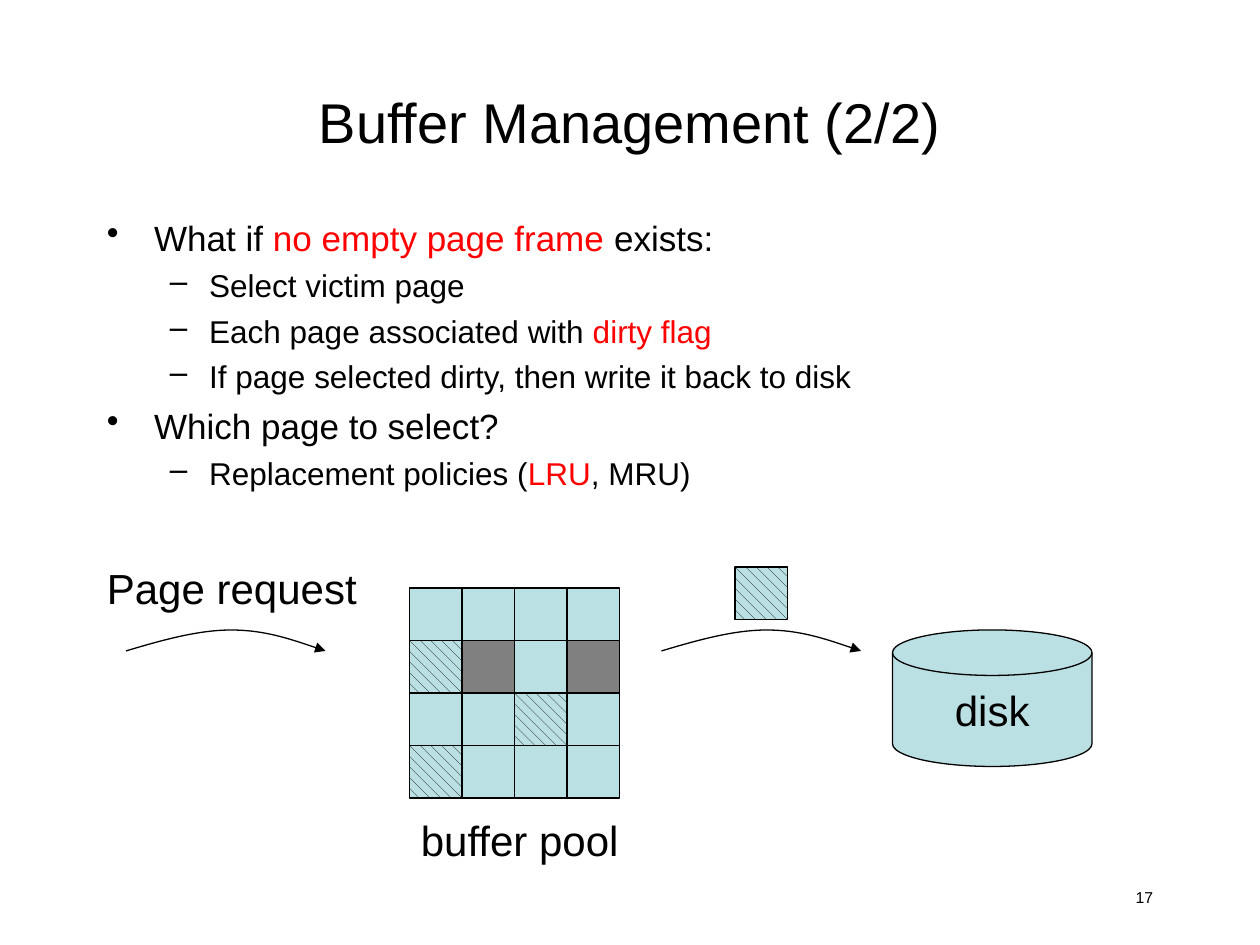
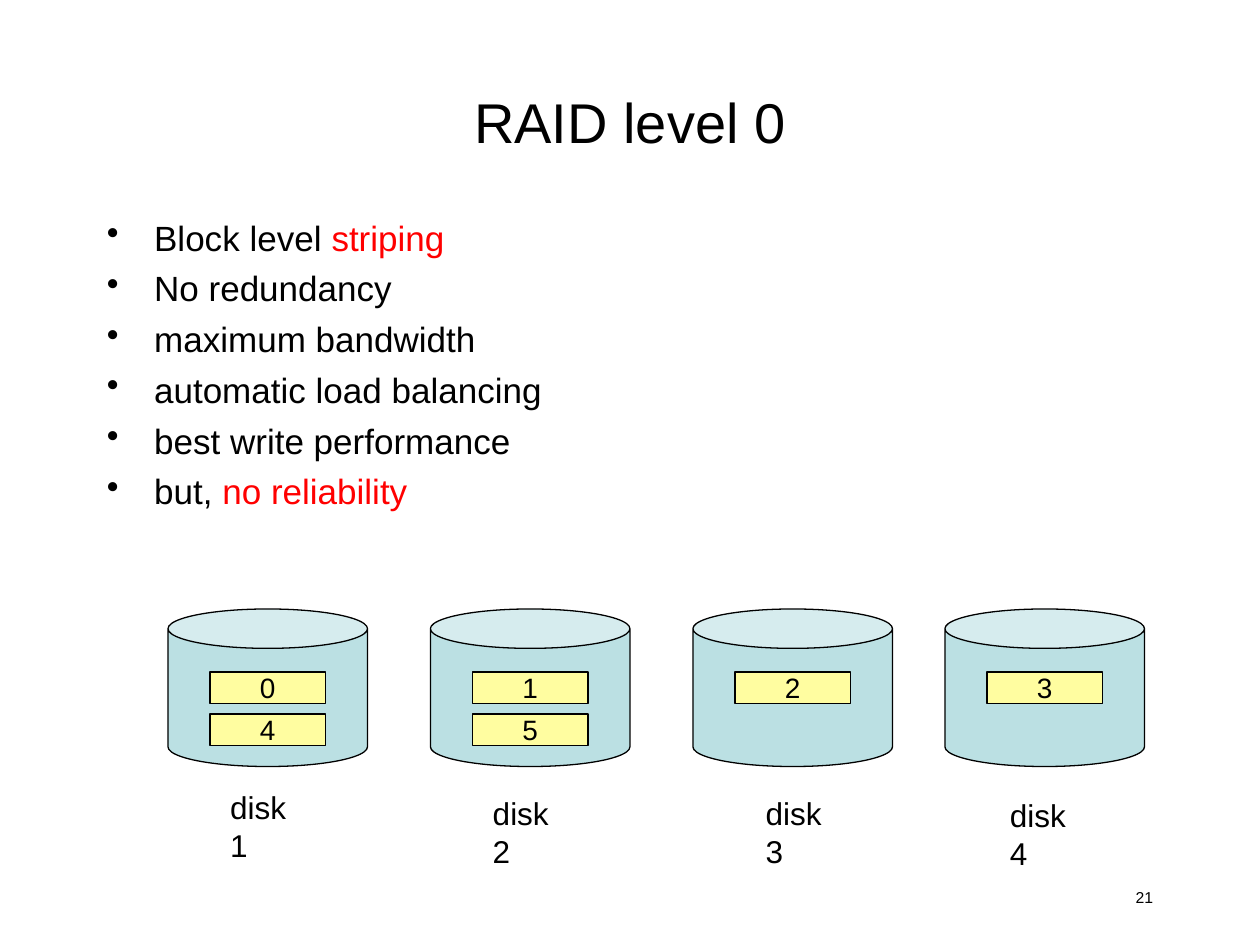
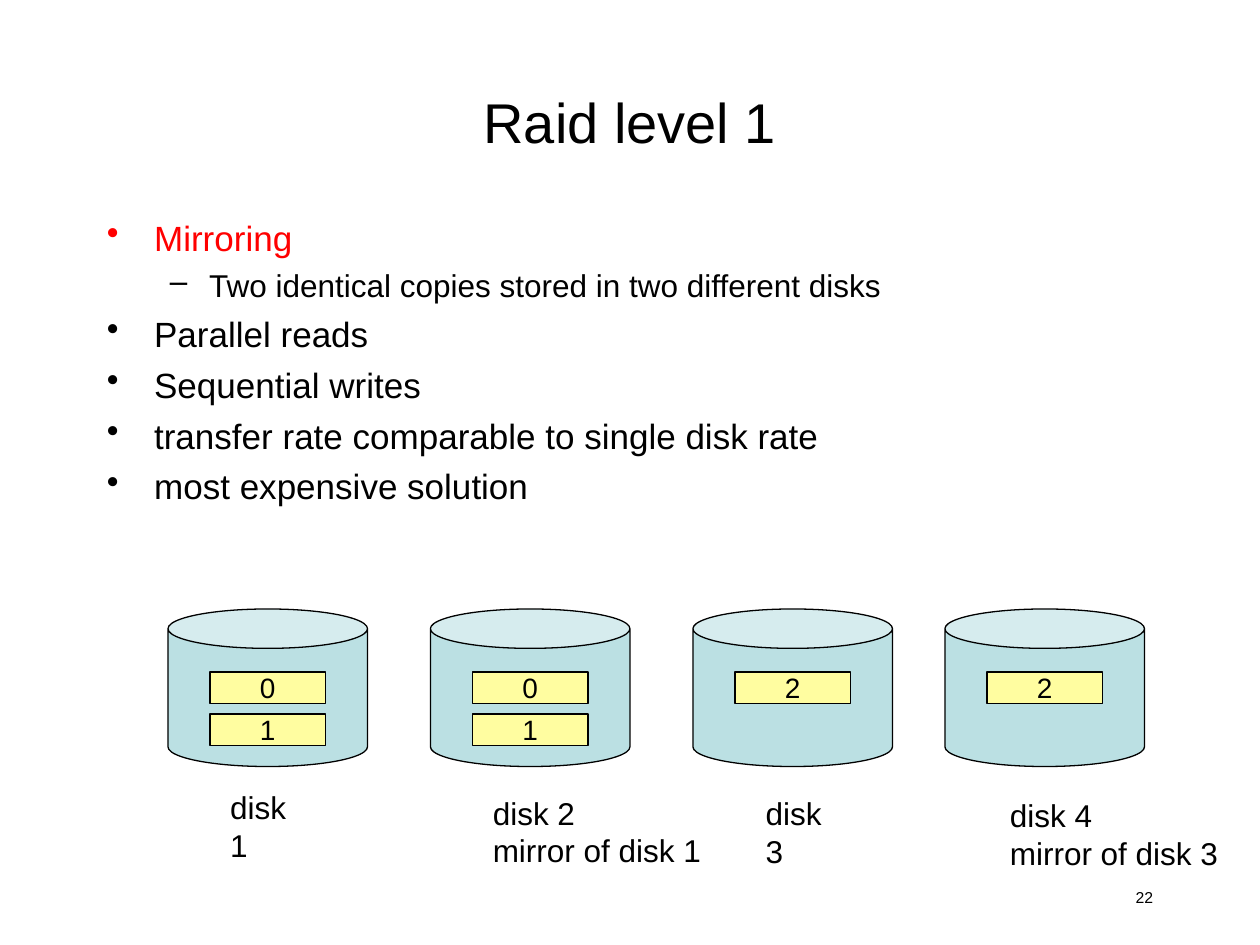
"""Build three slides on buffer management and RAID levels."""
from pptx import Presentation
from pptx.dml.color import RGBColor
from pptx.enum.dml import MSO_PATTERN
from pptx.enum.shapes import MSO_SHAPE
from pptx.enum.text import MSO_ANCHOR, PP_ALIGN
from pptx.oxml.ns import qn
from pptx.util import Pt

RECTANGLE = MSO_SHAPE.RECTANGLE
CAN = MSO_SHAPE.CAN
MAGNETIC_DISK = MSO_SHAPE.FLOWCHART_MAGNETIC_DISK
HATCH = MSO_PATTERN.DASHED_DOWNWARD_DIAGONAL
LEFT, CENTER, RIGHT = PP_ALIGN.LEFT, PP_ALIGN.CENTER, PP_ALIGN.RIGHT
MIDDLE = MSO_ANCHOR.MIDDLE

color = RGBColor.from_string
BLACK, RED, AQUA, YELLOW, GRAY = "000000", "FF0000", "BBE0E3", "FFFDA0", "808080"

BULLETS = [("•", 20, 27, -27), ("–", 18, 58.5, -22.5)]
CELL = 30
POOL_LEFT, POOL_TOP = 234, 336
POOL_ROWS = ["....", "/#.#", "../.", "/..."]
ARROW_CURVE = [(20, 6), (41, 0), (60, 0), (79, 0), (96.5, 6), (114, 12)]
DISK_LEFTS = [96, 246, 396, 540]
LABEL_PLACES = [(124.5, 447), (274.5, 450), (430.5, 450), (570, 451.5)]

SLIDES = [
    ("Buffer Management (2/2)", "17", [
        (0, "What if *no empty page frame *exists:"),
        (1, "Select victim page"),
        (1, "Each page associated with *dirty flag"),
        (1, "If page selected dirty, then write it back to disk"),
        (0, "Which page to select?"),
        (1, "Replacement policies (*LRU*, MRU)"),
    ]),
    ("RAID level 0", "21", [
        (0, "Block level *striping"),
        (0, "No redundancy"),
        (0, "maximum bandwidth"),
        (0, "automatic load balancing"),
        (0, "best write performance"),
        (0, "but, *no reliability"),
    ]),
    ("Raid level 1", "22", [
        (0, "*Mirroring"),
        (1, "Two identical copies stored in two different disks"),
        (0, "Parallel reads"),
        (0, "Sequential writes"),
        (0, "transfer rate comparable to single disk rate"),
        (0, "most expensive solution"),
    ]),
]
RAID_DISKS = [
    [("04", ["disk 1"]), ("15", ["disk 2"]), ("2", ["disk 3"]), ("3", ["disk 4"])],
    [("01", ["disk 1"]), ("01", ["disk 2", "mirror of disk 1"]),
     ("2", ["disk 3"]), ("2", ["disk 4", "mirror of disk 3"])],
]


def write(box, lines, size, align=LEFT, wrap=False):
    """Fill a box with lines, where asterisks switch red on and off."""
    frame = box.text_frame
    frame.word_wrap = wrap
    for number, line in enumerate(lines):
        para = frame.add_paragraph() if number else frame.paragraphs[0]
        para.alignment = align
        for part, words in enumerate(line.split("*")):
            if words:
                span = para.add_run()
                span.text = words
                span.font.name = "Arial"
                span.font.size = Pt(size)
                span.font.color.rgb = color(RED if part % 2 else BLACK)
    return frame


def draw(page, kind, left, top, width, height, fill, text="", size=16):
    """Add an outlined shape; fill "/" stands for hatching."""
    shape = page.shapes.add_shape(kind, Pt(left), Pt(top), Pt(width), Pt(height))
    shape.shadow.inherit = False
    if fill == "/":
        shape.fill.patterned()
        shape.fill.pattern = HATCH
        shape.fill.fore_color.rgb = color(BLACK)
        shape.fill.back_color.rgb = color(AQUA)
    else:
        shape.fill.solid()
        shape.fill.fore_color.rgb = color(fill)
    shape.line.color.rgb = color(BLACK)
    shape.line.width = Pt(0.75)
    if text:
        write(shape, [text], size, CENTER).vertical_anchor = MIDDLE


deck = Presentation()
deck.slide_width, deck.slide_height = Pt(720), Pt(540)
pages = []
for heading, page_number, points in SLIDES:
    page = deck.slides.add_slide(deck.slide_layouts[5])
    pages.append(page)
    title = page.shapes.title
    title.left, title.top, title.width, title.height = Pt(54), Pt(24), Pt(612), Pt(90)
    write(title, [heading], 32, CENTER, True).vertical_anchor = MIDDLE
    footer = page.shapes.add_textbox(Pt(516), Pt(504), Pt(150), Pt(24))
    write(footer, [page_number], 9, RIGHT, True)
    body = page.shapes.add_textbox(Pt(54), Pt(120), Pt(612), Pt(372))
    write(body, [words for level, words in points], 20, wrap=True)
    for para, (level, words) in zip(body.text_frame.paragraphs, points):
        mark, size, margin, indent = BULLETS[level]
        para.level = level
        para.space_before = Pt(size / 4)
        for span in para.runs:
            span.font.size = Pt(size)
        settings = para._p.get_or_add_pPr()
        settings.set("marL", str(Pt(margin)))
        settings.set("indent", str(Pt(indent)))
        settings.append(settings.makeelement(qn("a:buChar"), {"char": mark}))

buffer_page = pages[0]
draw(buffer_page, MAGNETIC_DISK, 510, 360, 114, 78, AQUA, "disk", 24)
for row, cells in enumerate(POOL_ROWS):
    for column, state in enumerate(cells):
        draw(buffer_page, RECTANGLE, POOL_LEFT + column * CELL, POOL_TOP + row * CELL,
             CELL, CELL, {".": AQUA, "#": GRAY, "/": "/"}[state])
draw(buffer_page, RECTANGLE, 420, 324, CELL, CELL, "/")
request = buffer_page.shapes.add_textbox(Pt(54), Pt(318), Pt(157), Pt(36))
write(request, ["Page request"], 24)
pool_label = buffer_page.shapes.add_textbox(Pt(204), Pt(462), Pt(186), Pt(36))
write(pool_label, ["buffer pool"], 24, CENTER).vertical_anchor = MIDDLE

for left in (72, 378):
    builder = buffer_page.shapes.build_freeform(Pt(left), Pt(372))
    builder.add_line_segments([(Pt(left + x), Pt(360 + y)) for x, y in ARROW_CURVE], close=False)
    arrow = builder.convert_to_shape()
    arrow.shadow.inherit = False
    arrow.fill.background()
    arrow.line.color.rgb = color(BLACK)
    arrow.line.width = Pt(0.75)
    outline = arrow.line._get_or_add_ln()
    outline.append(outline.makeelement(qn("a:tailEnd"), {"type": "triangle"}))
    segments = list(arrow.element.iter(qn("a:lnTo")))
    for first in range(0, len(segments), 3):
        curve = outline.makeelement(qn("a:cubicBezTo"), {})
        segments[first].addprevious(curve)
        for segment in segments[first:first + 3]:
            curve.append(segment[0])
            segment.getparent().remove(segment)

for page, disks in zip(pages[1:], RAID_DISKS):
    for left, place, (blocks, label) in zip(DISK_LEFTS, LABEL_PLACES, disks):
        draw(page, CAN, left, 348, 114, 90, AQUA)
        for row, block in enumerate(blocks):
            draw(page, RECTANGLE, left + 24, 384 + row * 24, 66, 18, YELLOW, block)
        width, height = (61, 29) if len(label) == 1 else (135, 50)
        caption = page.shapes.add_textbox(Pt(place[0]), Pt(place[1]), Pt(width), Pt(height))
        write(caption, label, 18)

deck.save("out.pptx")
